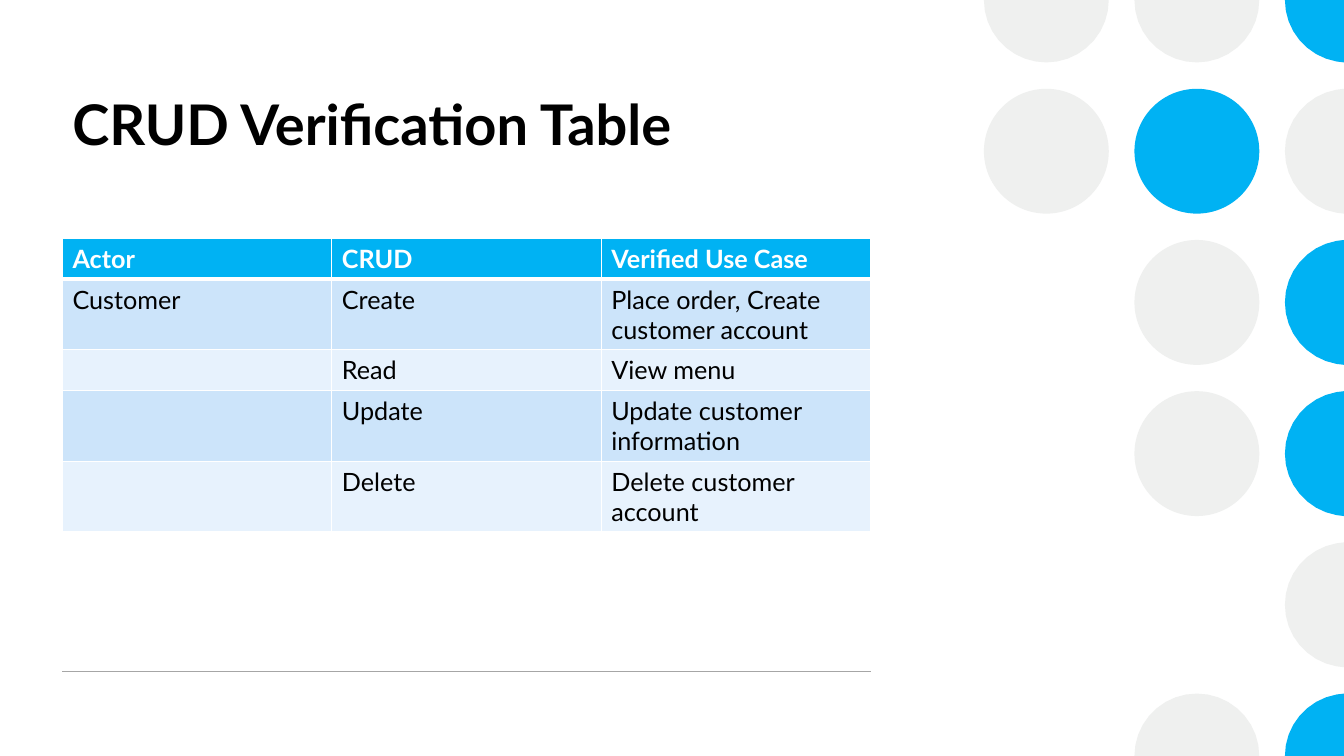
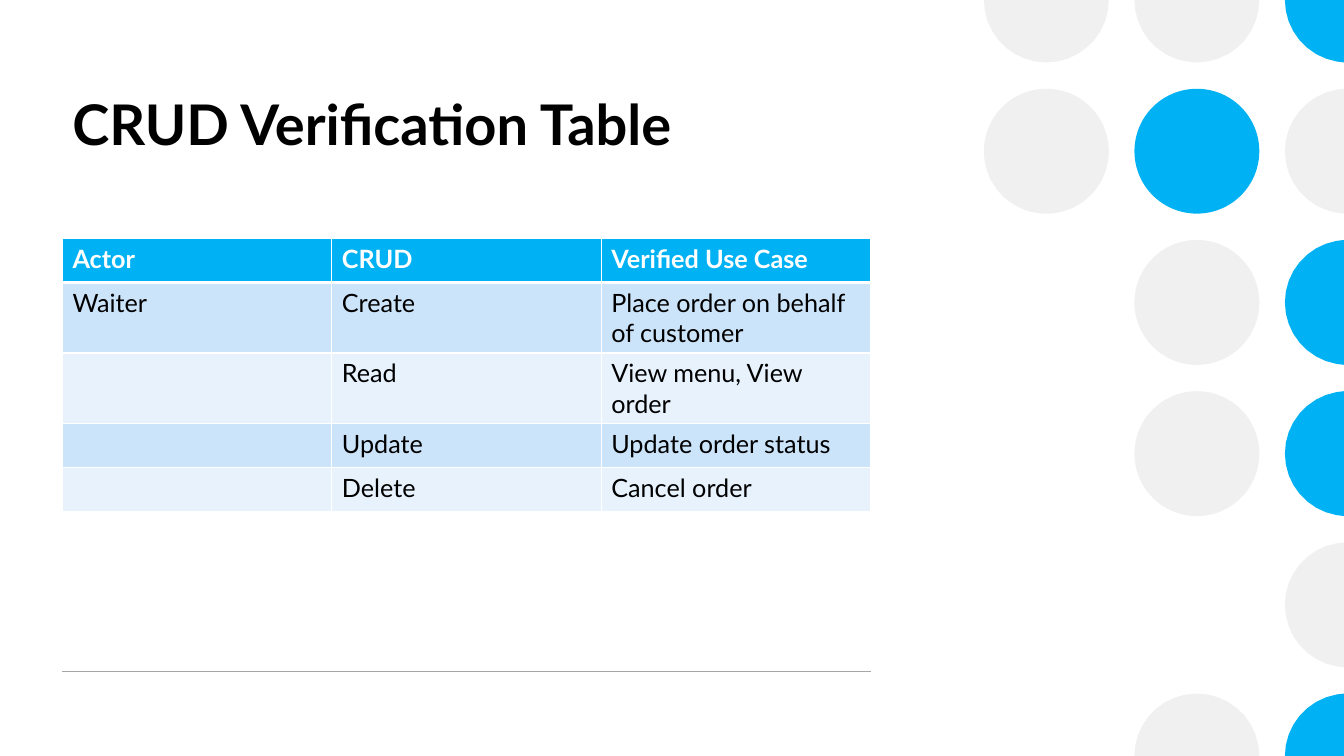
import math

import lxml.etree
import pptx
import pptx.dml.color
import pptx.enum.shapes
import pptx.enum.text
import pptx.oxml.ns
import pptx.util

Pt = pptx.util.Pt

SLIDE_WIDTH, SLIDE_HEIGHT = 960, 540
MARGIN, CONTENT_WIDTH = 44.6, 577.4
FONT = "Lato"
BLACK, WHITE = "000000", "FFFFFF"
ACCENT, PALE_GREY, RULE_GREY = "00B2F3", "EFF0EF", "A6A6A6"
BAND_COLORS = ("CCE4FA", "E7F2FD")

DOT_RADIUS = 44.6
DOT_PITCH_X, DOT_PITCH_Y = 107.5, 108
FIRST_DOT_X = 747.4
DOT_COLORS = {"g": PALE_GREY, "b": ACCENT}
DOT_ROWS = ("ggb", "gbg", " gb", " gb", "  g", " gb")

TITLE = "CRUD Verification Table"
HEADINGS = ("Actor", "CRUD", "Verified Use Case")
OPERATIONS = ("Create", "Read", "Update", "Delete")
ACTORS = (
    ("Customer", 29.2, (
        "Place order, Create customer account",
        "View menu",
        "Update customer information",
        "Delete customer account",
    )),
    ("Waiter", 31.5, (
        "Place order on behalf of customer",
        "View menu, View order",
        "Update order status",
        "Cancel order",
    )),
)


def rgb(value):
    return pptx.dml.color.RGBColor.from_string(value)


def style_paragraph(paragraph, size, color, bold):
    paragraph.font.name = FONT
    paragraph.font.size = Pt(size)
    paragraph.font.bold = bold
    paragraph.font.color.rgb = rgb(color)


def is_straight(before, point, after):
    return any(before[axis] == point[axis] == after[axis] for axis in (0, 1))


def clipped_outline(center_x, center_y):
    points = []
    for degrees in range(0, 360, 10):
        angle = math.radians(degrees)
        x = center_x + DOT_RADIUS * math.cos(angle)
        y = center_y + DOT_RADIUS * math.sin(angle)
        points.append((Pt(min(max(x, 0), SLIDE_WIDTH)),
                       Pt(min(max(y, 0), SLIDE_HEIGHT))))
    points = list(dict.fromkeys(points))
    neighbours = zip(points[-1:] + points[:-1], points, points[1:] + points[:1])
    return [point for before, point, after in neighbours
            if not is_straight(before, point, after)]


def add_dot(slide, center_x, center_y, color):
    left, top = center_x - DOT_RADIUS, center_y - DOT_RADIUS
    diameter = 2 * DOT_RADIUS
    fits = (left + diameter <= SLIDE_WIDTH and top >= 0
            and top + diameter <= SLIDE_HEIGHT)
    if fits:
        dot = slide.shapes.add_shape(
            pptx.enum.shapes.MSO_SHAPE.OVAL,
            Pt(left), Pt(top), Pt(diameter), Pt(diameter))
    else:
        outline = clipped_outline(center_x, center_y)
        builder = slide.shapes.build_freeform(*outline[0])
        builder.add_line_segments(outline[1:], close=True)
        dot = builder.convert_to_shape()
    dot.shadow.inherit = False
    dot.fill.solid()
    dot.fill.fore_color.rgb = rgb(color)
    dot.line.fill.background()


def add_dot_pattern(slide):
    for row, codes in enumerate(DOT_ROWS):
        for column, code in enumerate(codes):
            if code in DOT_COLORS:
                add_dot(slide, FIRST_DOT_X + column * DOT_PITCH_X,
                        row * DOT_PITCH_Y, DOT_COLORS[code])


def add_footer_rule(slide):
    y = Pt(479.5)
    rule = slide.shapes.add_connector(
        pptx.enum.shapes.MSO_CONNECTOR.STRAIGHT,
        Pt(MARGIN), y, Pt(MARGIN + CONTENT_WIDTH), y)
    rule.line.color.rgb = rgb(RULE_GREY)
    rule.line.width = Pt(1)
    lxml.etree.SubElement(rule._element.spPr,
                          pptx.oxml.ns.qn("a:effectLst"))


def add_title(slide):
    title = slide.shapes.add_textbox(
        Pt(MARGIN), Pt(60.5), Pt(CONTENT_WIDTH), Pt(100))
    frame = title.text_frame
    frame.word_wrap = True
    frame.vertical_anchor = pptx.enum.text.MSO_ANCHOR.TOP
    frame.text = TITLE
    style_paragraph(frame.paragraphs[0], 40, BLACK, True)


def add_border(cell, side, width):
    qn = pptx.oxml.ns.qn
    properties = cell._tc.get_or_add_tcPr()
    border = lxml.etree.SubElement(properties, qn("a:ln" + side),
                                   w=str(Pt(width)))
    fill = lxml.etree.SubElement(border, qn("a:solidFill"))
    lxml.etree.SubElement(fill, qn("a:srgbClr"), val=WHITE)


def fill_cell(cell, text, row):
    header = row == 0
    for side in "LRTB":
        heavy = (header and side == "B") or (row == 1 and side == "T")
        add_border(cell, side, 3 if heavy else 1)
    cell.fill.solid()
    cell.fill.fore_color.rgb = rgb(
        ACCENT if header else BAND_COLORS[(row - 1) % 2])
    cell.text = text
    style_paragraph(cell.text_frame.paragraphs[0], 18,
                    WHITE if header else BLACK, header)


def add_crud_table(slide, actor, row_height, use_cases):
    names = [actor] + [""] * (len(OPERATIONS) - 1)
    rows = [HEADINGS, *zip(names, OPERATIONS, use_cases)]
    table = slide.shapes.add_table(
        len(rows), len(HEADINGS), Pt(MARGIN), Pt(170.2),
        Pt(CONTENT_WIDTH), Pt(row_height * len(rows))).table
    for row, texts in enumerate(rows):
        table.rows[row].height = Pt(row_height)
        for column, text in enumerate(texts):
            fill_cell(table.cell(row, column), text, row)


def main():
    presentation = pptx.Presentation()
    presentation.slide_width = Pt(SLIDE_WIDTH)
    presentation.slide_height = Pt(SLIDE_HEIGHT)
    blank_layout = presentation.slide_layouts[6]
    for actor, row_height, use_cases in ACTORS:
        slide = presentation.slides.add_slide(blank_layout)
        add_dot_pattern(slide)
        add_footer_rule(slide)
        add_title(slide)
        add_crud_table(slide, actor, row_height, use_cases)
    presentation.save("out.pptx")


if __name__ == "__main__":
    main()
